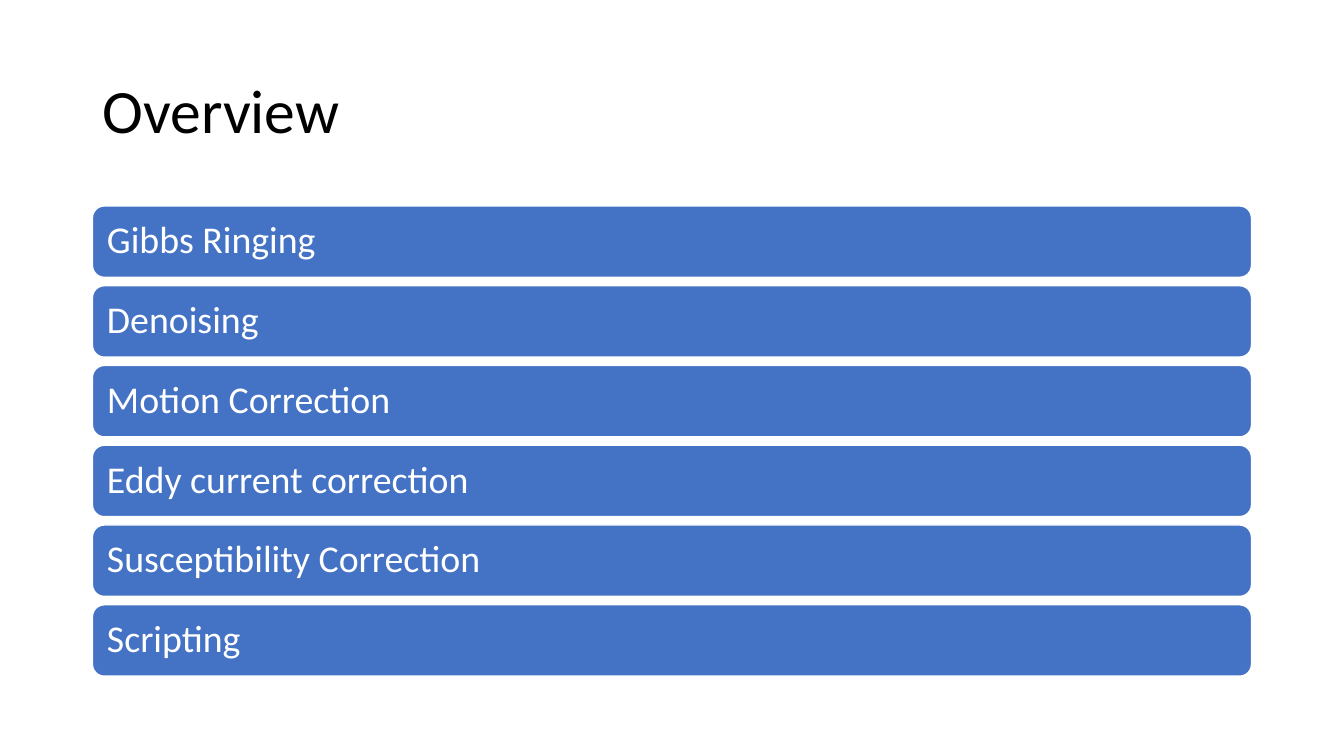
"""Build the Overview slide: a title above six stacked topic bars."""
from dataclasses import dataclass

from pptx import Presentation
from pptx.dml.color import RGBColor
from pptx.enum.shapes import MSO_SHAPE as Shape
from pptx.enum.text import MSO_ANCHOR as Anchor, MSO_AUTO_SIZE as AutoSize, PP_ALIGN as Align
from pptx.util import Cm, Pt


@dataclass(frozen=True)
class Theme:
    font: str = "Calibri"
    black: RGBColor = RGBColor(0x00, 0x00, 0x00)
    white: RGBColor = RGBColor(0xFF, 0xFF, 0xFF)
    blue: RGBColor = RGBColor(0x44, 0x72, 0xC4)
    title_size: Pt = Pt(44)
    bar_size: Pt = Pt(27)


theme = Theme()


def write_text(shape, text, *, size, color, inset_x, inset_y):
    frame = shape.text_frame
    frame.word_wrap = True
    frame.auto_size = AutoSize.NONE
    frame.vertical_anchor = Anchor.MIDDLE
    frame.margin_left = frame.margin_right = inset_x
    frame.margin_top = frame.margin_bottom = inset_y
    paragraph = frame.paragraphs[0]
    paragraph.alignment = Align.LEFT
    paragraph.line_spacing = 0.9
    run = paragraph.add_run()
    run.text = text
    run.font.name = theme.font
    run.font.size = size
    run.font.color.rgb = color


presentation = Presentation()
presentation.slide_width = Cm(33.87)
presentation.slide_height = Cm(19.05)
slide = presentation.slides.add_slide(presentation.slide_layouts[5])

left, width = Cm(2.33), Cm(29.21)
title = slide.shapes.title
title.left, title.top, title.width, title.height = left, Cm(1.01), width, Cm(3.68)
write_text(title, "Overview", size=theme.title_size, color=theme.black,
           inset_x=Cm(0.25), inset_y=Cm(0.13))

topics = [
    "Gibbs Ringing",
    "Denoising",
    "Motion Correction",
    "Eddy current correction",
    "Susceptibility Correction",
    "Scripting",
]
first_top, bar_height, bar_step = Cm(5.19), Cm(1.8), Cm(2.01)
for index, topic in enumerate(topics):
    bar = slide.shapes.add_shape(
        Shape.ROUNDED_RECTANGLE, left, first_top + index * bar_step, width, bar_height)
    bar.shadow.inherit = False
    bar.fill.solid()
    bar.fill.fore_color.rgb = theme.blue
    bar.line.color.rgb = theme.white
    bar.line.width = Pt(1)
    write_text(bar, topic, size=theme.bar_size, color=theme.white,
               inset_x=Cm(0.28), inset_y=Cm(0.28))

presentation.save("out.pptx")
